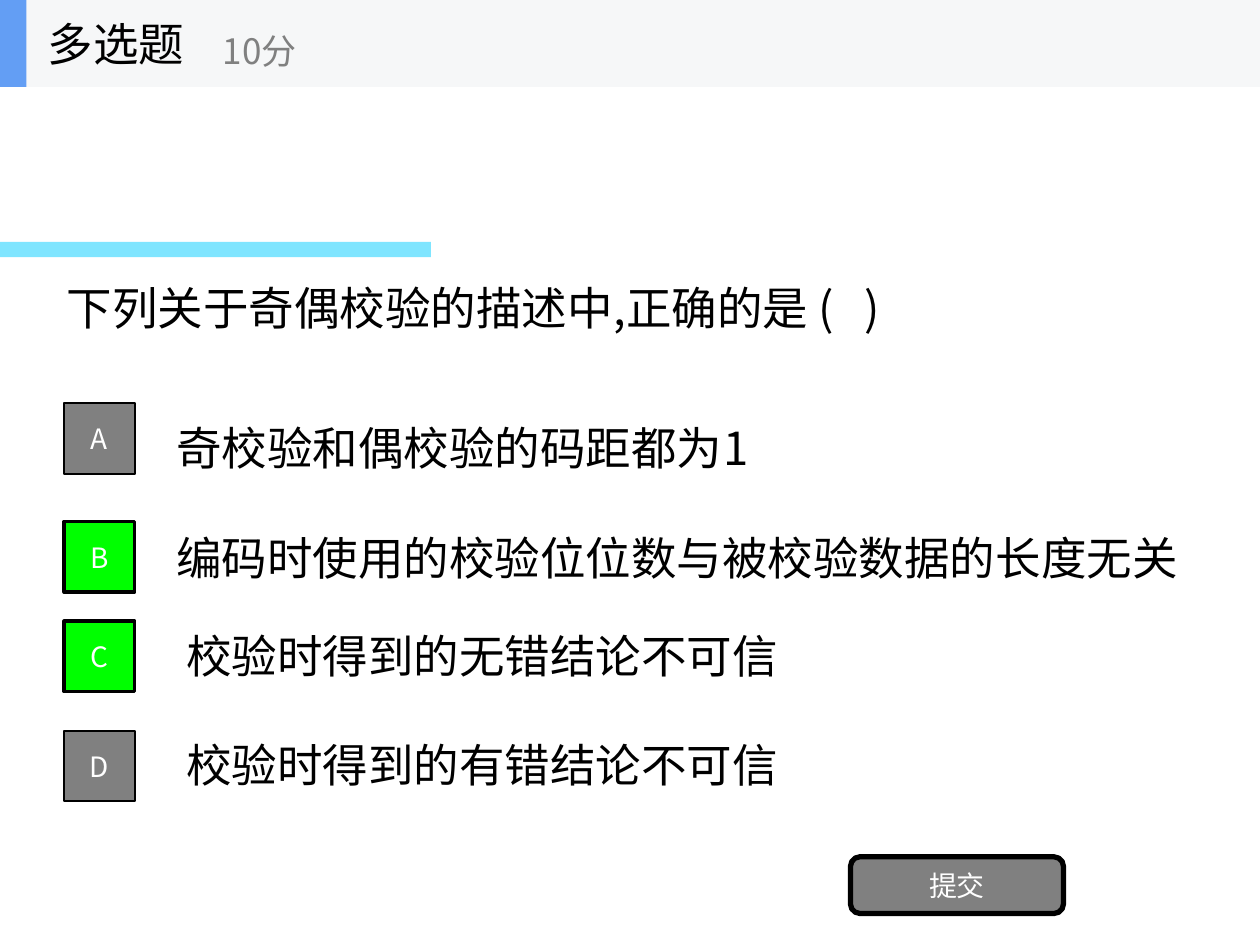
"""Build a multiple-choice question slide about parity checking."""
from lxml import etree
from pptx import Presentation
from pptx.dml.color import RGBColor
from pptx.enum.shapes import MSO_SHAPE
from pptx.enum.text import MSO_ANCHOR, MSO_AUTO_SIZE, PP_ALIGN
from pptx.oxml.ns import qn
from pptx.util import Inches, Pt

RECT, ROUNDED = MSO_SHAPE.RECTANGLE, MSO_SHAPE.ROUNDED_RECTANGLE
LEFT, CENTER = PP_ALIGN.LEFT, PP_ALIGN.CENTER
MIDDLE, NO_FIT = MSO_ANCHOR.MIDDLE, MSO_AUTO_SIZE.NONE
FONT = "Noto Sans CJK SC"
BLACK = RGBColor(0x00, 0x00, 0x00)
WHITE = RGBColor(0xFF, 0xFF, 0xFF)
GRAY = RGBColor(0x80, 0x80, 0x80)
GREEN = RGBColor(0x00, 0xFF, 0x00)
CYAN = RGBColor(0x00, 0xCC, 0xFF)
BLUE = RGBColor(0x63, 0x9E, 0xF4)
PALE = RGBColor(0xF6, 0xF7, 0xF8)

KIND, SCORE, SUBMIT = "多选题", "10分", "提交"
QUESTION = "下列关于奇偶校验的描述中,正确的是 (   )"
OPTIONS = [
    ("A", "奇校验和偶校验的码距都为1", False, 3.2, (1.3, 3.28, 4.85)),
    ("B", "编码时使用的校验位位数与被校验数据的长度无关", True, 4.14, (1.3, 4.15, 8.39)),
    ("C", "校验时得到的无错结论不可信", True, 4.93, (1.38, 4.93, 5)),
    ("D", "校验时得到的有错结论不可信", False, 5.8, (1.38, 5.8, 5)),
]
BADGE_LEFT, BADGE_SIZE, TEXT_HEIGHT, HEADER_HEIGHT = 0.51, 0.56, 0.54, 0.69


def write(sp, text, size=26, color=BLACK, align=LEFT, wrap=True):
    tf = sp.text_frame
    tf.word_wrap = wrap
    tf.auto_size = NO_FIT
    tf.vertical_anchor = MIDDLE
    p = tf.paragraphs[0]
    p.alignment = align
    p.line_spacing = 1.0
    p.space_before = Pt(0)
    r = p.add_run()
    r.text = text
    r.font.size = Pt(size)
    r.font.color.rgb = color
    r.font.name = FONT
    etree.SubElement(r._r.get_or_add_rPr(), qn("a:ea"), typeface=FONT)


def add_box(s, box, fill, line=0, shape=RECT):
    sp = s.shapes.add_shape(shape, *map(Inches, box))
    sp.shadow.inherit = False
    sp.fill.solid()
    sp.fill.fore_color.rgb = fill
    if line:
        sp.line.color.rgb = BLACK
        sp.line.width = Pt(line)
    else:
        sp.line.fill.background()
    return sp


def add_text(s, box, text, **fmt):
    write(s.shapes.add_textbox(*map(Inches, box)), text, **fmt)


def main():
    prs = Presentation()
    prs.slide_width, prs.slide_height = Inches(10), Inches(7.5)
    s = prs.slides.add_slide(prs.slide_layouts[5])

    title = s.shapes.title
    title.left, title.top, title.width, title.height = map(Inches, (0.43, 2.17, 7.31, TEXT_HEIGHT))
    write(title, QUESTION)

    accent = add_box(s, (0, 1.92, 3.42, 0.12), CYAN)
    color = accent.fill._xPr.find(qn("a:solidFill"))[0]
    etree.SubElement(color, qn("a:alpha"), val="50000")

    for letter, text, correct, top, (x, y, width) in OPTIONS:
        add_text(s, (x, y, width, TEXT_HEIGHT), text)
        badge = add_box(s, (BADGE_LEFT, top, BADGE_SIZE, BADGE_SIZE),
                        GREEN if correct else GRAY, line=2 if correct else 1)
        write(badge, letter, size=16, color=WHITE, align=CENTER, wrap=False)

    button = add_box(s, (6.75, 6.8, 1.69, 0.45), GRAY, line=3, shape=ROUNDED)
    write(button, SUBMIT, size=16, color=WHITE, align=CENTER, wrap=False)

    add_box(s, (0, 0, 10, HEADER_HEIGHT), PALE)
    add_box(s, (0, 0, 0.21, HEADER_HEIGHT), BLUE)
    add_text(s, (0.28, 0, 2.08, HEADER_HEIGHT), KIND)
    add_text(s, (1.67, 0.12, 2.5, 0.56), SCORE, size=20, color=GRAY)

    prs.save("out.pptx")


if __name__ == "__main__":
    main()
